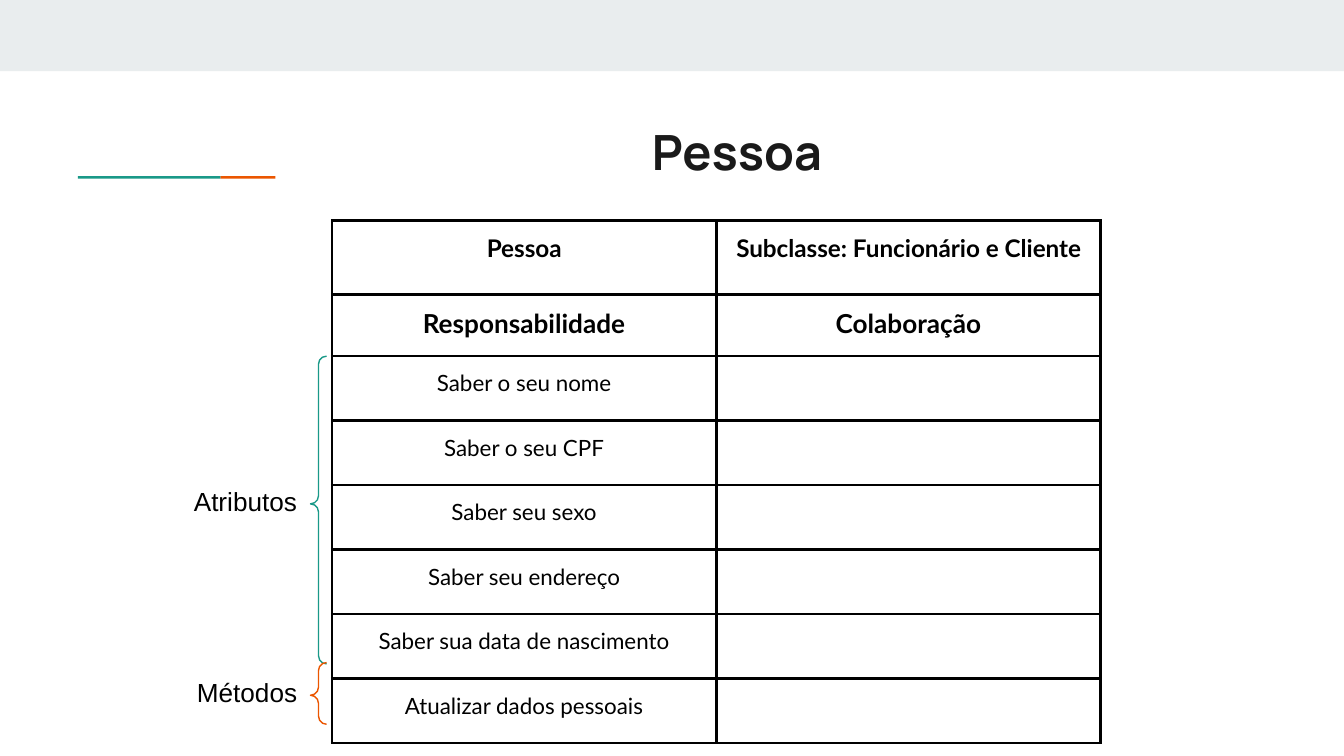
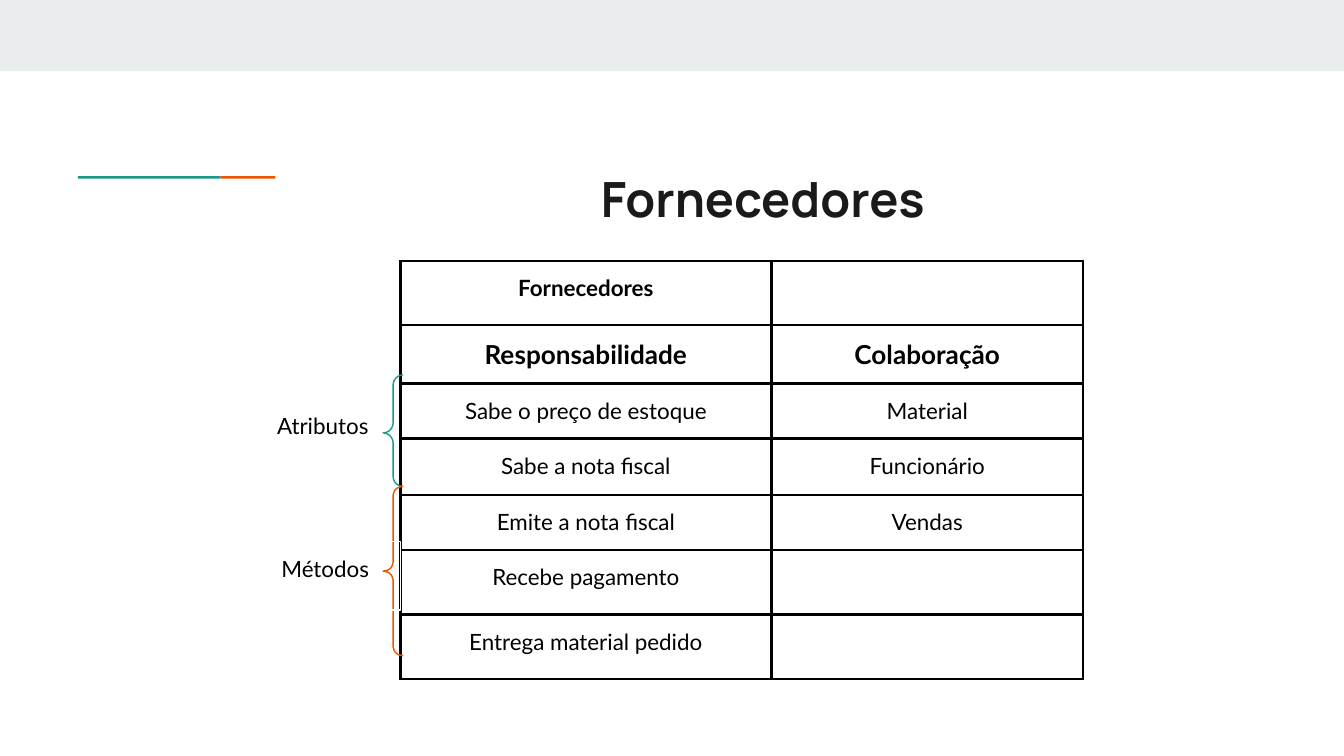
from lxml import etree
from pptx import Presentation
from pptx import util as u
from pptx.dml.color import RGBColor
from pptx.enum import shapes, text
from pptx.oxml import ns

BAND, TEAL, ORANGE = "E9EDEE", "1A9988", "EB5600"
INK, BLACK, WHITE = "1A1A1A", "000000", "FFFFFF"
LEFT, CENTER, RIGHT = text.PP_ALIGN.LEFT, text.PP_ALIGN.CENTER, text.PP_ALIGN.RIGHT
HEADINGS = ("Responsabilidade", "Colaboração")


def color(hex_value):
    return RGBColor.from_string(hex_value)


def box(left, top, width, height):
    return [u.Inches(value) for value in (left, top, width, height)]


def write(frame, words, size=12, font="Lato", ink=BLACK, bold=False, align=CENTER):
    """Put one formatted paragraph into a text frame."""
    frame.margin_left = frame.margin_right = u.Inches(0.1)
    frame.margin_top = frame.margin_bottom = u.Inches(0.1)
    frame.vertical_anchor = text.MSO_ANCHOR.TOP
    frame.word_wrap = True
    paragraph = frame.paragraphs[0]
    paragraph.alignment = align
    run = paragraph.add_run()
    run.text = words
    run.font.name = font
    run.font.size = u.Pt(size)
    run.font.bold = bold
    run.font.color.rgb = color(ink)


def add_shape(slide, kind, place, fill=None, line=None):
    shape = slide.shapes.add_shape(kind, *box(*place))
    shape.shadow.inherit = False
    if fill:
        shape.fill.solid()
        shape.fill.fore_color.rgb = color(fill)
    else:
        shape.fill.background()
    if line:
        shape.line.color.rgb = color(line)
        shape.line.width = u.Pt(0.75)
    else:
        shape.line.fill.background()
    return shape


def add_brace(slide, place, line, curve=0.5, tip=0.5):
    brace = add_shape(slide, shapes.MSO_SHAPE.LEFT_BRACE, place, line=line)
    brace.adjustments[0] = curve
    brace.adjustments[1] = tip


def add_label(slide, words, place, **style):
    label = slide.shapes.add_textbox(*box(*place))
    write(label.text_frame, words, align=RIGHT, **style)


def set_borders(cell, width=1.5):
    properties = cell._tc.get_or_add_tcPr()
    for side in ("lnL", "lnR", "lnT", "lnB"):
        line = etree.SubElement(properties, ns.qn("a:" + side), w=str(u.Pt(width)))
        fill = etree.SubElement(line, ns.qn("a:solidFill"))
        etree.SubElement(fill, ns.qn("a:srgbClr"), val=BLACK)


def add_class_table(slide, left, top, widths, heights, rows, name_size):
    """Class card: name row, headings row, then the plain rows."""
    table = slide.shapes.add_table(
        len(rows), len(widths), *box(left, top, sum(widths), sum(heights))).table
    table.first_row = table.horz_banding = False
    for column, width in zip(table.columns, widths):
        column.width = u.Inches(width)
    for index, (row, height, entries) in enumerate(zip(table.rows, heights, rows)):
        row.height = u.Inches(height)
        size = {0: name_size, 1: 14}.get(index, 12)
        for cell, words in zip(row.cells, entries):
            set_borders(cell)
            cell.fill.background()
            cell.margin_left = cell.margin_right = u.Inches(0.1)
            cell.margin_top = cell.margin_bottom = u.Inches(0.1)
            if words:
                write(cell.text_frame, words, size=size, bold=index < 2)
            else:
                # Keeps an empty cell from stretching its row
                end = cell.text_frame.paragraphs[0]._p.get_or_add_endParaRPr()
                end.set("sz", "1200")


def add_slide(presentation, layout, title, place):
    slide = presentation.slides.add_slide(layout)
    shape = slide.shapes.title
    shape.left, shape.top, shape.width, shape.height = box(*place)
    write(shape.text_frame, title, size=26, font="Manrope", ink=INK, bold=True, align=LEFT)
    shape.text_frame.auto_size = text.MSO_AUTO_SIZE.NONE
    return slide


def decorate_layout(layout, slide):
    """Draw the shared band and accent line, then move them to the layout."""
    for place, fill in (((0, 0, 10, 0.53), BAND),
                        ((1.64, 1.31, 0.41, 0.02), ORANGE),
                        ((0.58, 1.31, 1.06, 0.02), TEAL)):
        shape = add_shape(slide, shapes.MSO_SHAPE.RECTANGLE, place, fill=fill)
        layout.shapes._spTree.append(shape._element)


def build_person(presentation, layout):
    slide = add_slide(presentation, layout, "Pessoa", (4.75, 0.81, 1.48, 0.59))
    duties = ("Saber o seu nome", "Saber o seu CPF", "Saber seu sexo",
              "Saber seu endereço", "Saber sua data de nascimento",
              "Atualizar dados pessoais")
    rows = [("Pessoa", "Subclasse: Funcionário e Cliente"), HEADINGS]
    rows += [(duty, "") for duty in duties]
    heights = [0.55, 0.46] + [0.48] * 6
    add_class_table(slide, 2.47, 1.64, [2.86, 2.86], heights, rows, 13)
    add_label(slide, "Atributos", (1.13, 3.51, 1.18, 0.31), size=14, font="Arial")
    add_label(slide, "Métodos", (1.22, 4.93, 1.09, 0.31), size=14, font="Arial")
    add_brace(slide, (2.31, 2.65, 0.12, 2.29), TEAL, tip=0.48)
    add_brace(slide, (2.31, 4.93, 0.12, 0.46), ORANGE, tip=0.53)
    return slide


def build_suppliers(presentation, layout):
    slide = add_slide(presentation, layout, "Fornecedores", (4.37, 1.16, 2.77, 0.73))
    rows = [("Fornecedores", ""), HEADINGS,
            ("Sabe o preço de estoque", "Material"),
            ("Sabe a nota fiscal", "Funcionário"),
            ("Emite a nota fiscal", "Vendas"),
            ("Recebe pagamento", ""),
            ("Entrega material pedido", "")]
    heights = [0.48, 0.43, 0.41, 0.42, 0.41, 0.48, 0.48]
    add_class_table(slide, 2.98, 1.94, [2.76, 2.32], heights, rows, 12)
    add_brace(slide, (2.85, 2.79, 0.15, 0.83), TEAL, tip=0.52)
    add_label(slide, "Atributos", (1.22, 2.97, 1.62, 0.36))
    add_brace(slide, (2.85, 3.62, 0.15, 1.26), ORANGE, curve=0.43)
    methods = add_shape(slide, shapes.MSO_SHAPE.RECTANGLE, (1.86, 4.03, 1.12, 0.51), line=WHITE)
    write(methods.text_frame, "Métodos")


def main():
    presentation = Presentation()
    presentation.slide_width = u.Inches(10)
    presentation.slide_height = u.Inches(10) * 9 // 16
    layout = presentation.slide_layouts.get_by_name("Title Only")
    person = build_person(presentation, layout)
    decorate_layout(layout, person)
    build_suppliers(presentation, layout)
    presentation.save("out.pptx")


if __name__ == "__main__":
    main()
